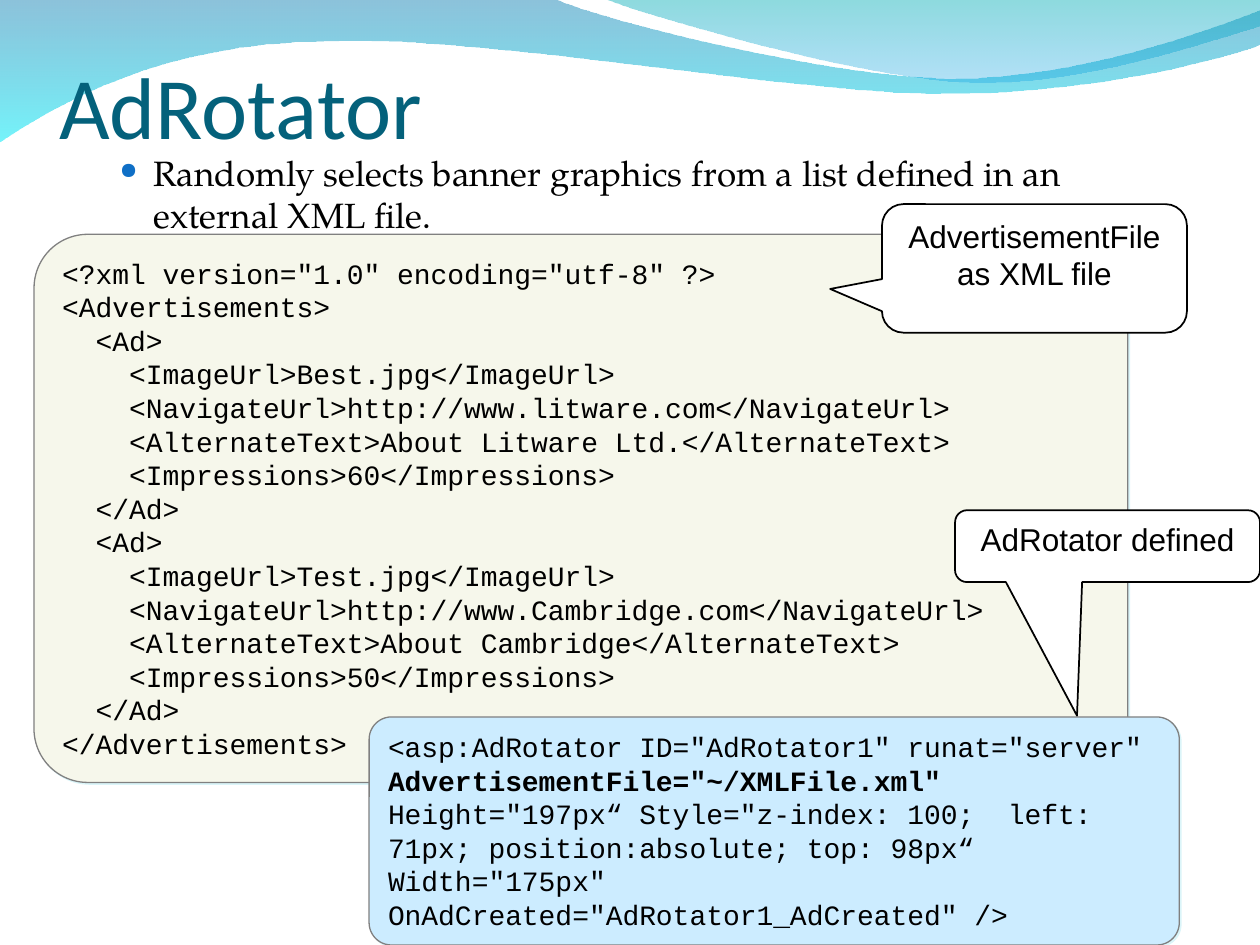
from dataclasses import dataclass
from lxml import etree
from pptx import Presentation
from pptx.dml.color import RGBColor
from pptx.enum.shapes import MSO_SHAPE
from pptx.enum.text import MSO_ANCHOR, PP_ALIGN
from pptx.oxml.ns import qn
from pptx.util import Pt

PX = 9144
ROUND = MSO_SHAPE.ROUNDED_RECTANGLE
BUBBLE = MSO_SHAPE.ROUNDED_RECTANGULAR_CALLOUT
TOP, BOTTOM = MSO_ANCHOR.TOP, MSO_ANCHOR.BOTTOM
LEFT, CENTER = PP_ALIGN.LEFT, PP_ALIGN.CENTER


@dataclass(frozen=True)
class Theme:
    title: tuple = ("Calibri", 50, "04617B")
    body: tuple = ("TeX Gyre Pagella", 20, "000000")
    code: tuple = ("Courier New", 16, "000000")
    note: tuple = ("Arial", 18, "000000")
    bullet: str = "0F6FC6"
    cream: str = "F6F7EB"
    sky: str = "CCECFF"
    white: str = "FFFFFF"
    edge: str = "808080"
    ink: str = "000000"
    shade: str = "DBF5F9"
    back: tuple = (("0079AF", 45), ("00EBF8", 55))
    front: tuple = (("00ADB6", 45), ("009BE5", 30))


THEME = Theme()

XML = """<?xml version="1.0" encoding="utf-8" ?>
<Advertisements>
  <Ad>
    <ImageUrl>Best.jpg</ImageUrl>
    <NavigateUrl>http://www.litware.com</NavigateUrl>
    <AlternateText>About Litware Ltd.</AlternateText>
    <Impressions>60</Impressions>
  </Ad>
  <Ad>
    <ImageUrl>Test.jpg</ImageUrl>
    <NavigateUrl>http://www.Cambridge.com</NavigateUrl>
    <AlternateText>About Cambridge</AlternateText>
    <Impressions>50</Impressions>
  </Ad>
</Advertisements>"""

TAG = [
    ('<asp:AdRotator ID="AdRotator1" runat="server" ', False),
    ('AdvertisementFile="~/XMLFile.xml"', True),
    (' Height="197px“ Style="z-index: 100;  left: 71px; position:absolute;'
     ' top: 98px“ Width="175px" OnAdCreated="AdRotator1_AdCreated" />', False),
]

BACK = [[(1, 0)], [(441, 0)],
        [(477, 17), (665, 63), (759, 63)], [(854, 63), (959, 26), (1001, 9)],
        [(1002, 36)],
        [(984, 44), (871, 76), (747, 75)], [(623, 75), (383, 28), (258, 34)],
        [(130, 35), (47, 83), (0, 114)]]
FRONT = [[(0, 0)], [(30, 12), (203, 63), (290, 66)],
         [(377, 70), (482, 33), (521, 22)], [(521, 1)]]


def rgb(code):
    return RGBColor.from_string(code)


def add(parent, tag, **attrs):
    return etree.SubElement(parent, qn(tag), attrs)


def style(para, look, align=LEFT):
    para.alignment = align
    font = para.font
    font.name, font.size = look[0], Pt(look[1])
    font.color.rgb = rgb(look[2])


def frame(shape, pads=(10, 5, 10, 5)):
    text = shape.text_frame
    text.word_wrap = True
    text.vertical_anchor = TOP
    (text.margin_left, text.margin_top,
     text.margin_right, text.margin_bottom) = [n * PX for n in pads]
    return text


def bend(shape, segs):
    lines = iter(list(shape._element.iter(qn("a:lnTo"))))
    for seg in segs:
        parts = [next(lines) for dot in seg]
        if len(parts) == 3:
            curve = etree.Element(qn("a:cubicBezTo"))
            parts[0].addprevious(curve)
            for part in parts:
                curve.append(part[0])
                part.getparent().remove(part)


def wave(slide, origin, segs, stops):
    left, top = origin
    dots = [((left + x) * PX, (top + y) * PX) for seg in segs for x, y in seg]
    pen = slide.shapes.build_freeform(*dots[0])
    pen.add_line_segments(dots[1:], close=False)
    shape = pen.convert_to_shape()
    bend(shape, segs[1:])
    add(next(shape._element.iter(qn("a:path"))), "a:close")
    shape.shadow.inherit = False
    shape.line.fill.background()
    shape.fill.gradient()
    shape.fill.gradient_angle = 270
    for stop, (color, alpha) in zip(shape.fill.gradient_stops, stops):
        stop.color.rgb = rgb(color)
    for node, (color, alpha) in zip(shape._element.iter(qn("a:srgbClr")), stops):
        add(node, "a:alpha", val=str(alpha * 1000))


def label(slide, box, words, pads):
    text = frame(slide.shapes.add_textbox(*[n * PX for n in box]), pads)
    para = text.paragraphs[0]
    para.text = words
    return text, para


def title(slide, box):
    text, para = label(slide, box, "AdRotator", (0, 5, 0, 0))
    text.vertical_anchor = BOTTOM
    style(para, THEME.title)


def intro(slide, box):
    words = ("Randomly selects banner graphics from a list defined in an "
             "external XML file.")
    text, para = label(slide, box, words, (10, 5, 10, 5))
    props = para._p.get_or_add_pPr()
    props.set("marL", str(70 * PX))
    props.set("indent", str(-27 * PX))
    add(add(props, "a:buClr"), "a:srgbClr", val=THEME.bullet)
    add(props, "a:buSzPct", val="65000")
    add(props, "a:buChar", char="●")
    style(para, THEME.body)


def block(slide, kind, box, fill, edge, width, adjust):
    shape = slide.shapes.add_shape(kind, *[n * PX for n in box])
    shape.shadow.inherit = False
    shape.fill.solid()
    shape.fill.fore_color.rgb = rgb(fill)
    shape.line.color.rgb = rgb(edge)
    shape.line.width = Pt(width)
    for i, value in enumerate(adjust):
        shape.adjustments[i] = value
    return shape


def panel(slide, box, fill, lines):
    shape = block(slide, ROUND, box, fill, THEME.edge, 0.75, [0.098])
    glow = shape._element.spPr.find(qn("a:effectLst"))
    shade = add(glow, "a:outerShdw", dist=str(Pt(1.4)), dir="2700000")
    add(shade, "a:srgbClr", val=THEME.shade)
    text = frame(shape)
    for i, runs in enumerate(lines):
        para = text.add_paragraph() if i else text.paragraphs[0]
        for words, bold in runs:
            run = para.add_run()
            run.text = words
            if bold:
                run.font.bold = True
        style(para, THEME.code)


def callout(slide, box, words, tip):
    shape = block(slide, BUBBLE, box, THEME.white, THEME.ink, 1, [*tip, 0.167])
    para = frame(shape).paragraphs[0]
    para.text = words
    style(para, THEME.note, CENTER)


def main():
    deck = Presentation()
    deck.slide_width, deck.slide_height = 1000 * PX, 750 * PX
    slide = deck.slides.add_slide(deck.slide_layouts[6])
    wave(slide, (-1, -1), BACK, THEME.back)
    wave(slide, (479, -1), FRONT, THEME.front)
    title(slide, (47, 0, 900, 125))
    intro(slide, (42, 115, 905, 80))
    panel(slide, (27, 186, 868, 435), THEME.cream,
          [[(line, False)] for line in XML.splitlines()])
    panel(slide, (293, 569, 643, 181), THEME.sky, [TAG])
    callout(slide, (700, 162, 242, 102), "AdvertisementFile as XML file",
            (-0.67, 0.16))
    callout(slide, (758, 405, 242, 57), "AdRotator defined", (-0.1, 2.36))
    deck.save("out.pptx")


if __name__ == "__main__":
    main()
